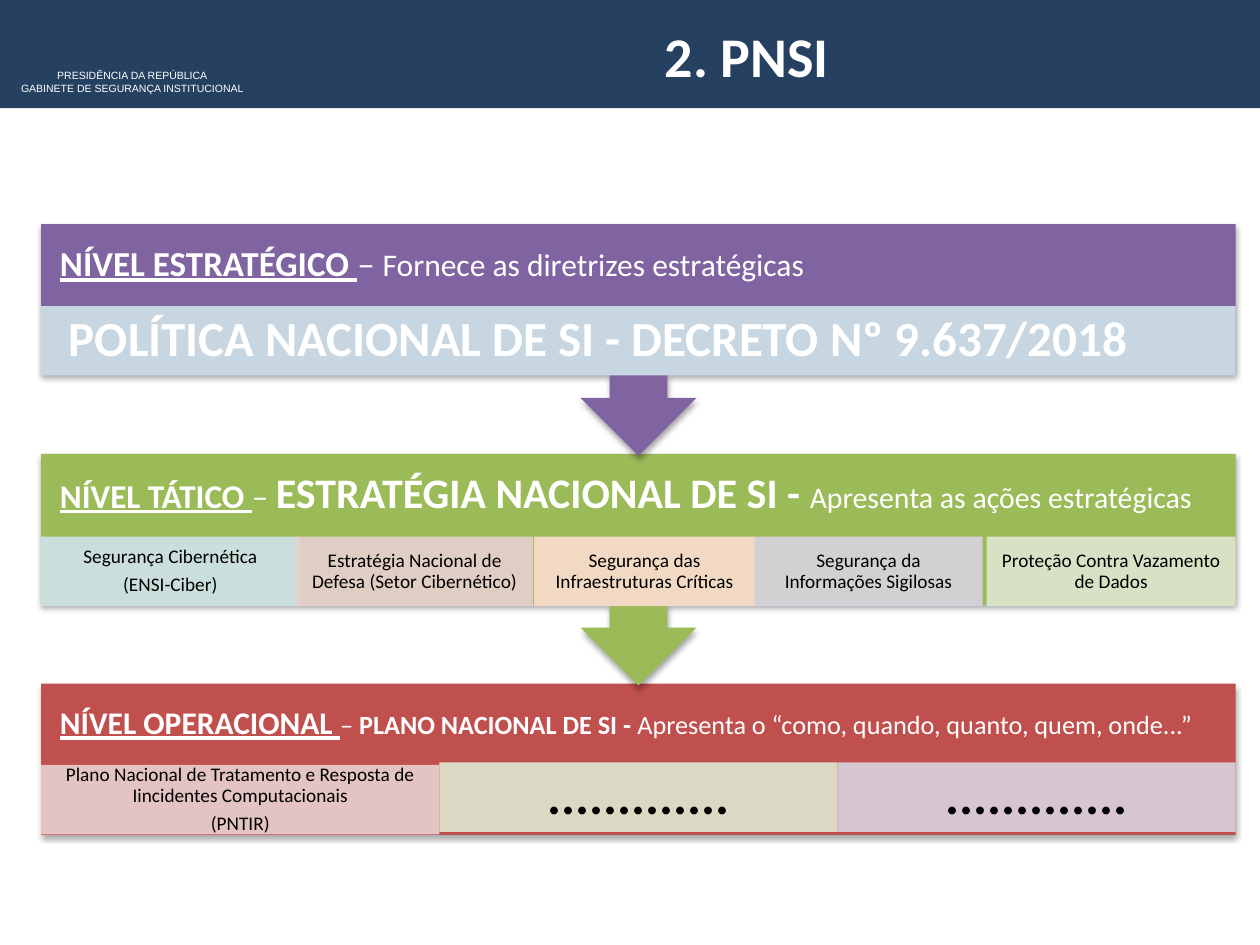
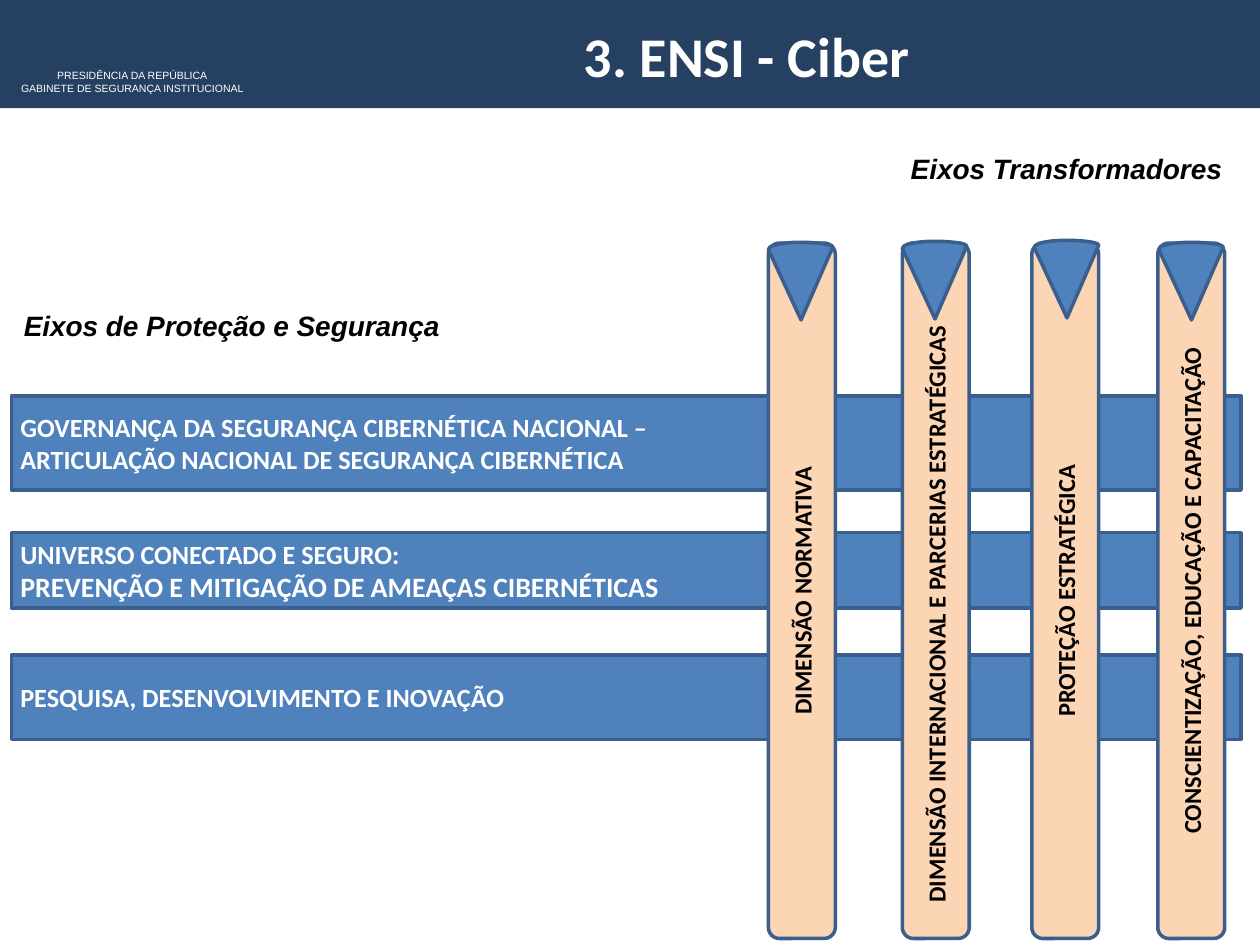
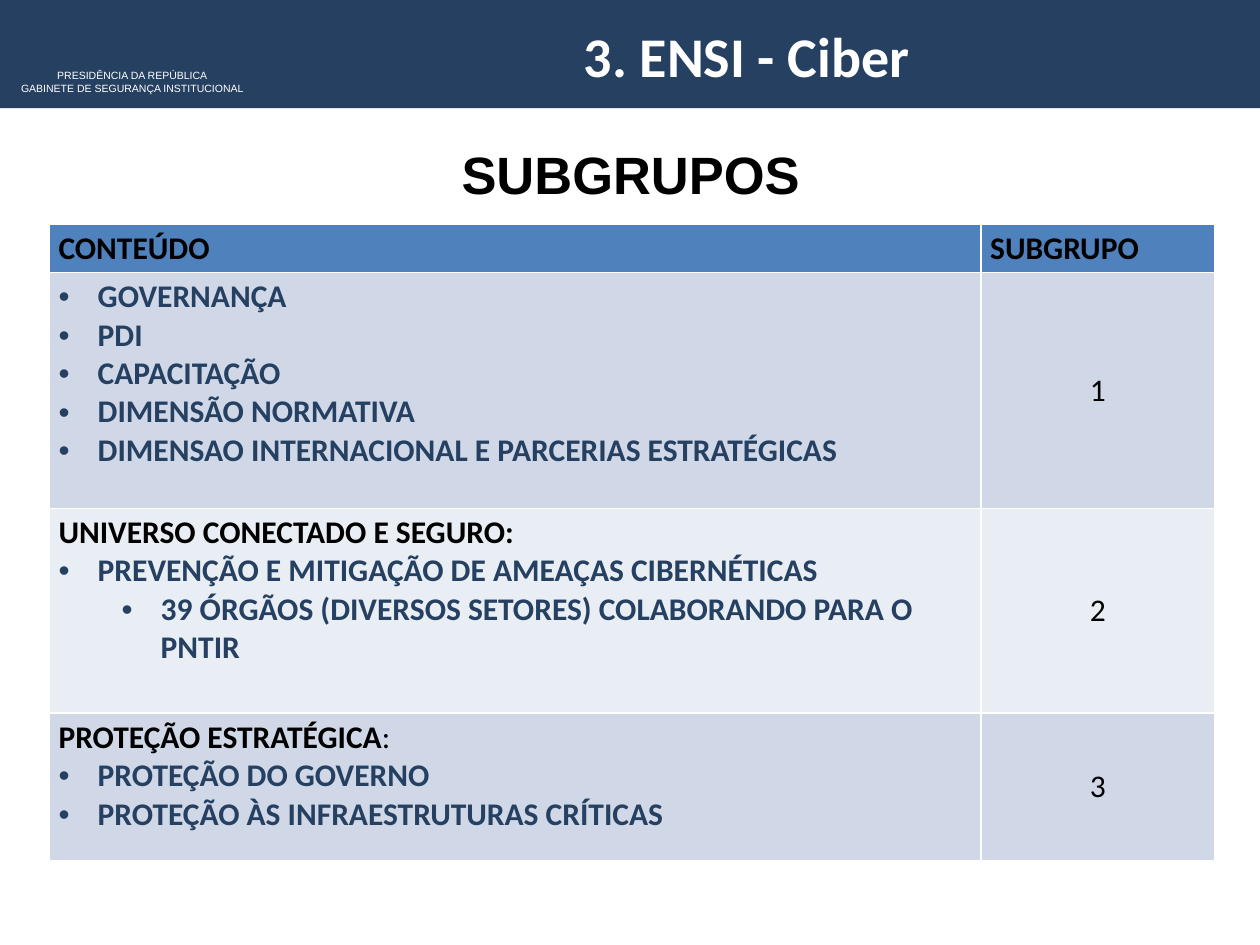
from lxml.etree import SubElement
from pptx import Presentation
from pptx.dml.color import RGBColor
from pptx.enum.shapes import MSO_SHAPE
from pptx.enum.text import MSO_ANCHOR, MSO_AUTO_SIZE, PP_ALIGN
from pptx.oxml.ns import qn
from pptx.util import Cm, Pt

NAVY = RGBColor(0x25, 0x40, 0x61)
WHITE = RGBColor(0xFF, 0xFF, 0xFF)
BLACK = RGBColor(0x00, 0x00, 0x00)
BLUE = RGBColor(0x4F, 0x81, 0xBD)
BLUE_EDGE = RGBColor(0x3A, 0x5F, 0x8C)
PEACH = RGBColor(0xFC, 0xD5, 0xB5)
PURPLE = RGBColor(0x80, 0x64, 0xA2)
GREEN = RGBColor(0x9B, 0xBB, 0x59)
RED = RGBColor(0xC0, 0x50, 0x4D)
PALE_BLUE = RGBColor(0xD0, 0xE3, 0xEA)
PALE_RED = RGBColor(0xE8, 0xD0, 0xD0)
PALE_ORANGE = RGBColor(0xFC, 0xDD, 0xCF)
PALE_PURPLE = RGBColor(0xD8, 0xD3, 0xE0)
PALE_GREEN = RGBColor(0xDE, 0xE7, 0xD1)
ROW_DARK = RGBColor(0xD0, 0xD8, 0xE8)
ROW_LIGHT = RGBColor(0xE9, 0xED, 0xF4)

LEFT, CENTER = PP_ALIGN.LEFT, PP_ALIGN.CENTER
TOP, MIDDLE = MSO_ANCHOR.TOP, MSO_ANCHOR.MIDDLE
PLAIN = {"bold": False, "underline": False}


def write(frame, paragraphs, size, color=BLACK, font="Calibri", align=LEFT,
          spacing=None, after=None, **style):
    """Fill a frame; a paragraph is a string or a list of (text, overrides) runs."""
    for number, runs in enumerate(paragraphs):
        paragraph = frame.add_paragraph() if number else frame.paragraphs[0]
        paragraph.alignment = align
        if spacing:
            paragraph.line_spacing = spacing
        if after and number < len(paragraphs) - 1:
            paragraph.space_after = Pt(after)
        for text, changes in [(runs, {})] if isinstance(runs, str) else runs:
            run = paragraph.add_run()
            run.text = text
            look = {"size": size, "color": color, **style, **changes}
            run.font.name = font
            run.font.size = Pt(look.pop("size"))
            run.font.color.rgb = look.pop("color")
            for attribute, value in look.items():
                setattr(run.font, attribute, value)


def indent(paragraph, left, hanging=0):
    properties = paragraph._p.get_or_add_pPr()
    properties.set("marL", str(Cm(left)))
    properties.set("indent", str(-Cm(hanging)))
    return properties


def add_bullet(paragraph, level):
    paragraph.level = level
    properties = indent(paragraph, 0.79 + 1.27 * level, 0.79)
    SubElement(properties, qn("a:buFont"), typeface="Arial")
    SubElement(properties, qn("a:buChar"), char="•")


def set_margins(holder, across, down):
    holder.margin_left = holder.margin_right = Cm(across)
    holder.margin_top = holder.margin_bottom = Cm(down)


class Deck:
    def __init__(self):
        self.presentation = Presentation()
        self.presentation.slide_width = Cm(25.4)
        self.presentation.slide_height = Cm(19.05)
        self.slide = None

    def new_slide(self, heading):
        layout = self.presentation.slide_layouts[5]
        self.slide = self.presentation.slides.add_slide(layout)
        self.shape(MSO_SHAPE.RECTANGLE, 0, 0, 25.4, 2.18, NAVY)
        self.text(-0.36, 1.27, 6.05, 0.76,
                  ["PRESIDÊNCIA DA REPÚBLICA", "GABINETE DE SEGURANÇA INSTITUCIONAL"],
                  size=6, color=WHITE, font="Arial", align=CENTER)
        title = self.slide.shapes.title
        title.left, title.top = Cm(4.5), Cm(0.3)
        title.width, title.height = Cm(21.11), Cm(1.63)
        title.text_frame.auto_size = MSO_AUTO_SIZE.NONE
        title.text_frame.vertical_anchor = TOP
        write(title.text_frame, [heading], 32, WHITE, align=CENTER, bold=True)
        title.element.getparent().append(title.element)  # in front of the band

    def paint(self, shape, fill, edge=None, opacity=None, shadow=False):
        shape.fill.solid()
        shape.fill.fore_color.rgb = fill
        shape.shadow.inherit = False
        properties = shape.element.spPr
        if opacity:
            SubElement(properties.find(qn("a:solidFill"))[0], qn("a:alpha"),
                       val=str(opacity * 1000))
        if edge:
            shape.line.color.rgb = edge
            shape.line.width = Pt(2)
        else:
            shape.line.fill.background()
        if shadow:
            outer = SubElement(properties.find(qn("a:effectLst")), qn("a:outerShdw"),
                               blurRad=str(Pt(3.1)), dist=str(Pt(1.8)),
                               dir="5400000", rotWithShape="0")
            black = SubElement(outer, qn("a:srgbClr"), val="000000")
            SubElement(black, qn("a:alpha"), val="35000")

    def shape(self, kind, left, top, width, height, fill, **finish):
        shape = self.slide.shapes.add_shape(kind, Cm(left), Cm(top), Cm(width), Cm(height))
        self.paint(shape, fill, **finish)
        return shape

    def label(self, shape, paragraphs, margins=(0.18, 0.1), **style):
        """Write inside a shape, vertically centred."""
        frame = shape.text_frame
        frame.word_wrap = True
        frame.vertical_anchor = MIDDLE
        set_margins(frame, *margins)
        write(frame, paragraphs, **style)
        return frame

    def text(self, left, top, width, height, paragraphs, anchor=TOP, margins=(0.25, 0.13),
             **style):
        box = self.slide.shapes.add_textbox(Cm(left), Cm(top), Cm(width), Cm(height))
        frame = box.text_frame
        frame.word_wrap = True
        frame.vertical_anchor = anchor
        set_margins(frame, *margins)
        write(frame, paragraphs, **style)

    def pointer(self, left, top):
        """Draw a downward wedge with a gently arched top."""
        start, controls = (0, 0.13), [(0.03, -0.08), (1.3, -0.03), (1.3, 0.08)]
        steps = 12
        arch = []
        for step in range(1, steps + 1):
            t = step / steps
            weights = [(1 - t) ** 3, 3 * t * (1 - t) ** 2, 3 * t * t * (1 - t), t ** 3]
            arch.append([sum(w * point[axis] for w, point in zip(weights, [start] + controls))
                         for axis in (0, 1)])
        outline = [(Cm(left + x), Cm(top + y)) for x, y in [start] + arch + [(0.66, 1.55)]]
        builder = self.slide.shapes.build_freeform(*outline[0])
        builder.add_line_segments(outline[1:], close=True)
        self.paint(builder.convert_to_shape(), BLUE, edge=BLUE_EDGE)

    def table(self, left, top, widths, heights, header, rows):
        grid = self.slide.shapes.add_table(len(heights), len(widths), Cm(left), Cm(top),
                                           Cm(sum(widths)), Cm(sum(heights))).table
        for column, width in zip(grid.columns, widths):
            column.width = Cm(width)
        for row, height in zip(grid.rows, heights):
            row.height = Cm(height)
        for column, name in enumerate(header):
            self.cell(grid.cell(0, column), [name], BLUE, bold=True)
        for number, topics in enumerate(rows, 1):
            fill = ROW_DARK if number % 2 else ROW_LIGHT
            content = grid.cell(number, 0)
            self.cell(content, [runs for level, runs in topics], fill, bold=True)
            for paragraph, (level, runs) in zip(content.text_frame.paragraphs, topics):
                if level is not None:
                    add_bullet(paragraph, level)
                    paragraph.runs[0].font.color.rgb = NAVY
            self.cell(grid.cell(number, 1), [str(number)], fill, MIDDLE,
                      align=CENTER, bold=False)

    def cell(self, cell, paragraphs, fill, anchor=TOP, **style):
        cell.fill.solid()
        cell.fill.fore_color.rgb = fill
        cell.vertical_anchor = anchor
        set_margins(cell, 0.18, 0.1)
        write(cell.text_frame, paragraphs, 18, **style)


def build_levels(deck):
    deck.new_slide("2. PNSI")
    left, width, first_top, step = 0.83, 24.08, 4.52, 4.63
    third = width / 3
    strong = {"bold": True, "underline": True}
    small = {"size": 11, "align": CENTER, "margins": (0.23, 0.05)}
    dots = {"size": 30, "bold": True, "align": CENTER, "margins": (0.58, 0.1)}
    policy = {"size": 28, "bold": True, "color": WHITE, "margins": (0.56, 0.1)}
    # Each tile: left, offset from the level's top, width, fill, paragraphs, format
    levels = [
        (PURPLE, [("NÍVEL ESTRATÉGICO ", {"size": 20, **strong}),
                  ("– ", {"size": 20, **PLAIN}),
                  ("Fornece as diretrizes estratégicas", {"size": 18, **PLAIN})],
         [(left, 1.65, width, PALE_BLUE,
           ["POLÍTICA NACIONAL DE SI - DECRETO Nº 9.637/2018"], policy)]),
        (GREEN, [("NÍVEL TÁTICO ", {"size": 19, **strong}),
                 ("– ", {"size": 19, **PLAIN}),
                 ("ESTRATÉGIA NACIONAL DE SI - ", {"size": 24, "bold": True}),
                 ("Apresenta as ações estratégicas", {"size": 17, **PLAIN})],
         [(left, 1.67, 5.21, PALE_BLUE, ["Segurança Cibernética", "(ENSI-Ciber)"], small),
          (5.97, 1.67, 4.78, PALE_RED,
           ["Estratégia Nacional de Defesa (Setor Cibernético)"], small),
          (10.77, 1.67, 4.45, PALE_ORANGE, ["Segurança das Infraestruturas Críticas"], small),
          (15.21, 1.67, 4.6, PALE_PURPLE, ["Segurança da Informações Sigilosas"], small),
          (19.89, 1.67, 5.02, PALE_GREEN, ["Proteção Contra Vazamento de Dados"], small)]),
        (RED, [("NÍVEL OPERACIONAL ", {"size": 18, **strong}),
               ("– ", PLAIN),
               ("PLANO NACIONAL DE SI - ", {"bold": True}),
               ("Apresenta o “como, quando, quanto, quem, onde...”", PLAIN)],
         [(left, 1.64, third, PALE_RED,
           ["Plano Nacional de Tratamento e Resposta de Iincidentes Computacionais",
            "(PNTIR)"], small),
          (left + third, 1.59, third, PALE_GREEN, ["............."], dots),
          (left + 2 * third, 1.59, third, PALE_PURPLE, ["............."], dots)]),
    ]
    # Bottom level first, so that each arrow tip lies over the level below it
    for number, (fill, heading, tiles) in reversed(list(enumerate(levels))):
        top = first_top + number * step
        if number == len(levels) - 1:
            deck.shape(MSO_SHAPE.RECTANGLE, left, top, width, 3.05, fill, shadow=True)
        else:
            callout = deck.shape(MSO_SHAPE.UP_ARROW_CALLOUT, left, top, width, 4.67, fill,
                                 shadow=True)
            callout.rotation = 180
        deck.text(left, top, width, 1.65, [heading], MIDDLE, (0.38, 0.38),
                  size=15, color=WHITE, spacing=0.9)
        for tile_left, offset, tile_width, tile_fill, paragraphs, style in tiles:
            tile = deck.shape(MSO_SHAPE.RECTANGLE, tile_left, top + offset, tile_width, 1.4,
                              tile_fill, opacity=90)
            deck.label(tile, paragraphs, spacing=0.9, after=4, **style)


def build_axes(deck):
    deck.new_slide("3. ENSI - Ciber")
    protection_axes = [
        (7.98, 1.9, ["GOVERNANÇA DA SEGURANÇA CIBERNÉTICA NACIONAL –",
                     "ARTICULAÇÃO NACIONAL DE SEGURANÇA CIBERNÉTICA"]),
        (10.74, 1.52, ["UNIVERSO CONECTADO E SEGURO:",
                       [("PREVENÇÃO E MITIGAÇÃO DE AMEAÇAS CIBERNÉTICAS", {"size": 16})]]),
        (13.21, 1.7, ["PESQUISA, DESENVOLVIMENTO E INOVAÇÃO"]),
    ]
    for top, height, paragraphs in protection_axes:
        axis = deck.shape(MSO_SHAPE.RECTANGLE, 0.23, top, 24.79, height, BLUE, edge=BLUE_EDGE)
        deck.label(axis, paragraphs, size=15, color=WHITE, bold=True)

    # Each column: left, pointer left, pointer top, name, alignment
    transforming_axes = [
        (15.49, 15.49, 4.9, "DIMENSÃO NORMATIVA", CENTER),
        (18.19, 18.19, 4.88, "DIMENSÃO INTERNACIONAL E PARCERIAS ESTRATÉGICAS", LEFT),
        (20.8, 20.85, 4.86, "PROTEÇÃO ESTRATÉGICA", CENTER),
        (23.34, 23.36, 4.9, "CONSCIENTIZAÇÃO, EDUCAÇÃO E CAPACITAÇÃO", CENTER),
    ]
    for left, pointer_left, pointer_top, name, align in transforming_axes:
        column = deck.shape(MSO_SHAPE.ROUNDED_RECTANGLE, left, 4.9, 1.35, 14.02, PEACH,
                            edge=BLUE_EDGE)
        frame = deck.label(column, [name], size=14, bold=True, align=align)
        column.element.txBody.find(qn("a:bodyPr")).set("vert", "vert270")
        if align == LEFT:
            indent(frame.paragraphs[0], 0.56)
        deck.pointer(pointer_left, pointer_top)

    captions = [(0.23, 6.1, 9.25, "Eixos de Proteção e Segurança"),
                (18.11, 2.92, 7.59, "Eixos Transformadores")]
    for left, top, width, caption in captions:
        deck.text(left, top, width, 0.94, [caption], size=16, font="Arial",
                  bold=True, italic=True)


def build_subgroups(deck):
    deck.new_slide("3. ENSI - Ciber")
    # Each topic: bullet level or None, runs
    subgroups = [
        [(0, "GOVERNANÇA"), (0, "PDI"), (0, "CAPACITAÇÃO"), (0, "DIMENSÃO NORMATIVA"),
         (0, "DIMENSAO INTERNACIONAL E PARCERIAS ESTRATÉGICAS")],
        [(None, "UNIVERSO CONECTADO E SEGURO:"),
         (0, "PREVENÇÃO E MITIGAÇÃO DE AMEAÇAS CIBERNÉTICAS"),
         (1, "39 ÓRGÃOS (DIVERSOS SETORES) COLABORANDO PARA O PNTIR")],
        [(None, [("PROTEÇÃO ESTRATÉGICA", {}), (":", PLAIN)]),
         (0, "PROTEÇÃO DO GOVERNO"), (0, "PROTEÇÃO ÀS INFRAESTRUTURAS CRÍTICAS")],
    ]
    deck.table(1, 4.52, [18.78, 4.7], [0.94, 4.75, 4.13, 2.97],
               ["CONTEÚDO", "SUBGRUPO"], subgroups)
    deck.text(0.51, 2.72, 24.41, 1.55, ["SUBGRUPOS"], MIDDLE, size=30, font="Arial",
              bold=True, align=CENTER)


def main():
    deck = Deck()
    build_levels(deck)
    build_axes(deck)
    build_subgroups(deck)
    deck.presentation.save("out.pptx")


if __name__ == "__main__":
    main()
